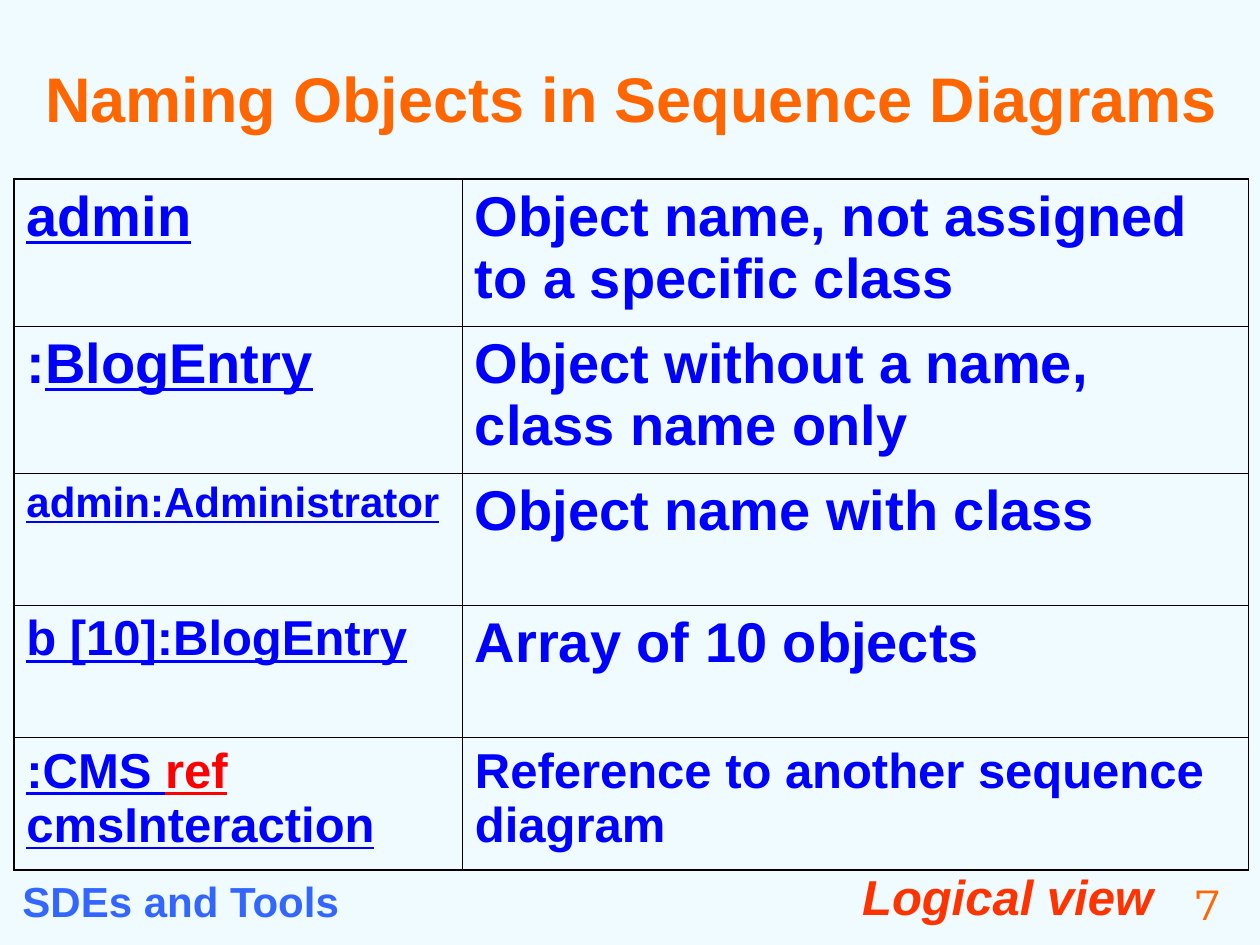
from pptx import Presentation
from pptx.dml.color import RGBColor as RGB
from pptx.enum.text import MSO_ANCHOR as Anchor, PP_ALIGN as Align
from pptx.oxml import parse_xml
from pptx.oxml.ns import nsdecls
from pptx.util import Inches, Pt

THEME = {
    "font": "Arial", "number font": "Montserrat",
    "background": "EFFBFF", "title": "FF6600", "body": "0000FF",
    "keyword": "FF0000", "course": "3366FF", "view": "FF3300", "border": "000000",
    "title size": 36, "large": 32, "medium": 28, "small": 24,
    "outer line": 1.08, "inner line": 0.45,
}

# Content: each notation is a list of (text, underlined, colour), then its size,
# its meaning and the size of the meaning
TITLE = "Naming Objects in Sequence Diagrams"
NAMINGS = [
    ([("admin", True, "body")], "large",
     "Object name, not assigned to a specific class", "large"),
    ([(":", False, "body"), ("BlogEntry", True, "body")], "large",
     "Object without a name, class name only", "large"),
    ([("admin:Administrator", True, "body")], "small",
     "Object name with class", "large"),
    ([("b [10]:BlogEntry", True, "body")], "medium",
     "Array of 10 objects", "large"),
    ([(":CMS ", True, "body"), ("ref", True, "keyword"),
      (" cmsInteraction", True, "body")], "medium",
     "Reference to another sequence diagram", "medium"),
]
COLUMN_WIDTHS = [3.56, 6.24]
ROW_HEIGHTS = [1.16, 1.16, 1.05, 1.05, 1.05]

# Text, box (left, top, width, height), colour, size, alignment, font, bold, italic
LABELS = [
    ("Logical view", (3.75, 6.83, 5.5, 0.52), "view", "medium", Align.RIGHT, "font", True, True),
    ("SDEs and Tools", (0.08, 6.9, 4.75, 0.44), "course", "small", Align.LEFT, "font", True, False),
    ("7", (9.25, 6.92, 0.67, 0.44), "title", "small", Align.CENTER, "number font", False, False),
    (TITLE, (0.26, 0.3, 9.74, 0.95), "title", "title size", Align.LEFT, "font", True, False),
]


def color(key):
    return RGB.from_string(THEME[key])


def style(paragraph, size, color_key, font="font", bold=True, italic=False):
    paragraph.font.name = THEME[font]
    paragraph.font.size = Pt(THEME[size])
    paragraph.font.bold = bold
    paragraph.font.italic = italic
    paragraph.font.color.rgb = color(color_key)


def add_label(slide, text, box, color_key, size, align, font, bold, italic):
    frame = slide.shapes.add_textbox(*map(Inches, box)).text_frame
    frame.word_wrap = True
    if text == TITLE:
        frame.vertical_anchor = Anchor.MIDDLE
    paragraph = frame.paragraphs[0]
    paragraph.text = text
    paragraph.alignment = align
    style(paragraph, size, color_key, font, bold, italic)


def set_borders(cell, row, column):
    outer_sides = {
        "lnL": column == 0, "lnR": column == len(COLUMN_WIDTHS) - 1,
        "lnT": row == 0, "lnB": row == len(ROW_HEIGHTS) - 1,
    }
    properties = cell._tc.get_or_add_tcPr()
    for position, (side, outer) in enumerate(outer_sides.items()):
        width = Pt(THEME["outer line" if outer else "inner line"])
        properties.insert(position, parse_xml(
            f'<a:{side} {nsdecls("a")} w="{width}"><a:solidFill>'
            f'<a:srgbClr val="{THEME["border"]}"/></a:solidFill></a:{side}>'))


def fill_cell(cell, segments, size):
    cell.fill.background()
    paragraph = cell.text_frame.paragraphs[0]
    style(paragraph, size, "body")
    for text, underlined, color_key in segments:
        run = paragraph.add_run()
        run.text = text
        run.font.underline = underlined
        if color_key != "body":
            run.font.color.rgb = color(color_key)


def add_namings(slide):
    table = slide.shapes.add_table(
        len(ROW_HEIGHTS), len(COLUMN_WIDTHS), Inches(0.11), Inches(1.42),
        Inches(sum(COLUMN_WIDTHS)), Inches(sum(ROW_HEIGHTS))).table
    table.first_row = table.horz_banding = False
    for column, width in zip(table.columns, COLUMN_WIDTHS):
        column.width = Inches(width)
    for row, height in zip(table.rows, ROW_HEIGHTS):
        row.height = Inches(height)
    for row, (notation, notation_size, meaning, meaning_size) in enumerate(NAMINGS):
        entries = [(notation, notation_size), ([(meaning, False, "body")], meaning_size)]
        for column, (segments, size) in enumerate(entries):
            cell = table.cell(row, column)
            fill_cell(cell, segments, size)
            set_borders(cell, row, column)


def main():
    deck = Presentation()
    deck.slide_width, deck.slide_height = Inches(10), Inches(7.5)
    slide = deck.slides.add_slide(deck.slide_layouts[6])
    slide.background.fill.solid()
    slide.background.fill.fore_color.rgb = color("background")

    # Title, footer labels and page number
    for label in LABELS:
        add_label(slide, *label)

    # Notations and their meanings
    add_namings(slide)
    deck.save("out.pptx")


if __name__ == "__main__":
    main()
